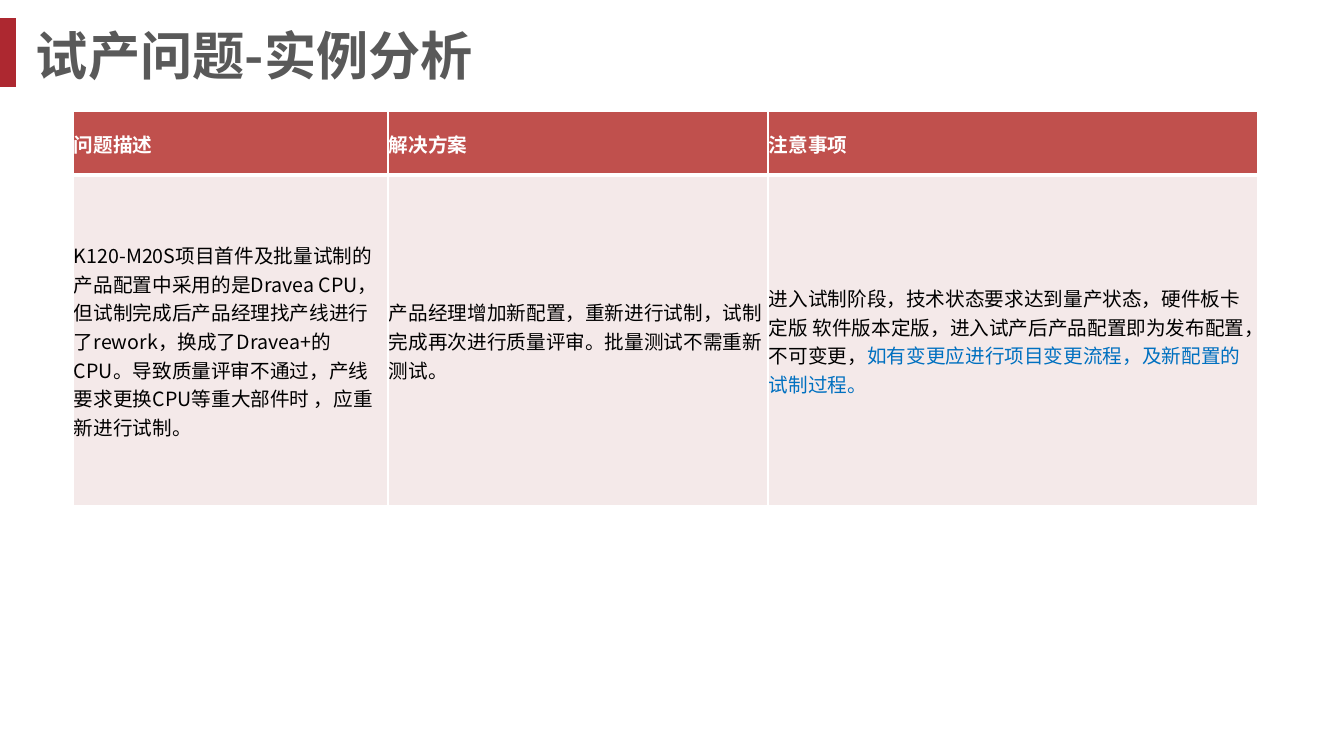
"""Build the slide on trial production issues with its case table."""
from lxml.etree import SubElement
from pptx import Presentation
from pptx.dml.color import RGBColor
from pptx.enum.lang import MSO_LANGUAGE_ID
from pptx.enum.shapes import MSO_SHAPE
from pptx.enum.text import MSO_ANCHOR
from pptx.oxml.ns import qn
from pptx.util import Emu, Pt

FONT = "Noto Sans CJK SC"
RED = RGBColor(0xAD, 0x28, 0x30)
GRAY = RGBColor(0x59, 0x59, 0x59)
BRICK = RGBColor(0xC0, 0x50, 0x4D)
PINK = RGBColor(0xF4, 0xE9, 0xE9)
WHITE = RGBColor(0xFF, 0xFF, 0xFF)
BLACK = RGBColor(0x00, 0x00, 0x00)
BLUE = RGBColor(0x00, 0x70, 0xC0)


def px(count):
    return Emu(round(count * 914400 / 100.8))


def style(run, size, color, bold):
    font = run.font
    font.name, font.size, font.bold = FONT, Pt(size), bold
    font.color.rgb = color
    font.language_id = MSO_LANGUAGE_ID.SIMPLIFIED_CHINESE
    SubElement(font._element, qn("a:ea"), typeface=FONT)


deck = Presentation()
deck.slide_width, deck.slide_height = px(1344), px(756)
slide = deck.slides.add_slide(deck.slide_layouts[6])

bar = slide.shapes.add_shape(MSO_SHAPE.RECTANGLE, px(0), px(18), px(16), px(69))
bar.shadow.inherit = False
bar.fill.solid()
bar.fill.fore_color.rgb = RED
bar.line.fill.background()

title = slide.shapes.add_textbox(px(26), px(18), px(1090), px(74))
frame = title.text_frame
frame.word_wrap = True
frame.vertical_anchor = MSO_ANCHOR.MIDDLE
frame.text = "试产问题-实例分析"
style(frame.paragraphs[0].runs[0], 37.3, GRAY, True)

heads = ["问题描述", "解决方案", "注意事项"]
issue = (
    "K120-M20S项目首件及批量试制的 产品配置中采用的是Dravea CPU，"
    "但试制完成后产品经理找产线进行了rework，换成了Dravea+的CPU。"
    "导致质量评审不通过，产线要求更换CPU等重大部件时 ，应重新进行试制。"
)
remedy = "产品经理增加新配置，重新进行试制，试制完成再次进行质量评审。批量测试不需重新测试。"
notes = (
    "进入试制阶段，技术状态要求达到量产状态，硬件板卡定版 软件版本定版，"
    "进入试产后产品配置即为发布配置，不可变更，"
)
alert = "如有变更应进行项目变更流程，及新配置的试制过程。"
rows = [heads, [issue, remedy, notes]]
looks = [(BRICK, WHITE, True), (PINK, BLACK, False)]
rules = [
    {"lnL": 1, "lnR": 1, "lnT": 1, "lnB": 3},
    {"lnL": 1, "lnR": 1, "lnT": 3, "lnB": 1},
]

grid = slide.shapes.add_table(2, 3, px(73), px(111), px(1185), px(395)).table
for column, width in zip(grid.columns, [315, 380, 490]):
    column.width = px(width)
for row, height in zip(grid.rows, [64, 331]):
    row.height = px(height)

for r, (texts, (fill, color, bold)) in enumerate(zip(rows, looks)):
    for c, text in enumerate(texts):
        cell = grid.cell(r, c)
        cell.vertical_anchor = MSO_ANCHOR.MIDDLE
        cell.margin_left = cell.margin_right = cell.margin_top = px(1)
        cell.margin_bottom = px(0)
        for side, width in rules[r].items():
            edge = SubElement(cell._tc.tcPr, qn(f"a:{side}"), w=str(Pt(width)))
            paint = SubElement(edge, qn("a:solidFill"))
            SubElement(paint, qn("a:srgbClr"), val=str(WHITE))
        cell.fill.solid()
        cell.fill.fore_color.rgb = fill
        cell.text_frame.text = text
        style(cell.text_frame.paragraphs[0].runs[0], 14, color, bold)

run = grid.cell(1, 2).text_frame.paragraphs[0].add_run()
run.text = alert
style(run, 14, BLUE, False)

deck.save("out.pptx")
